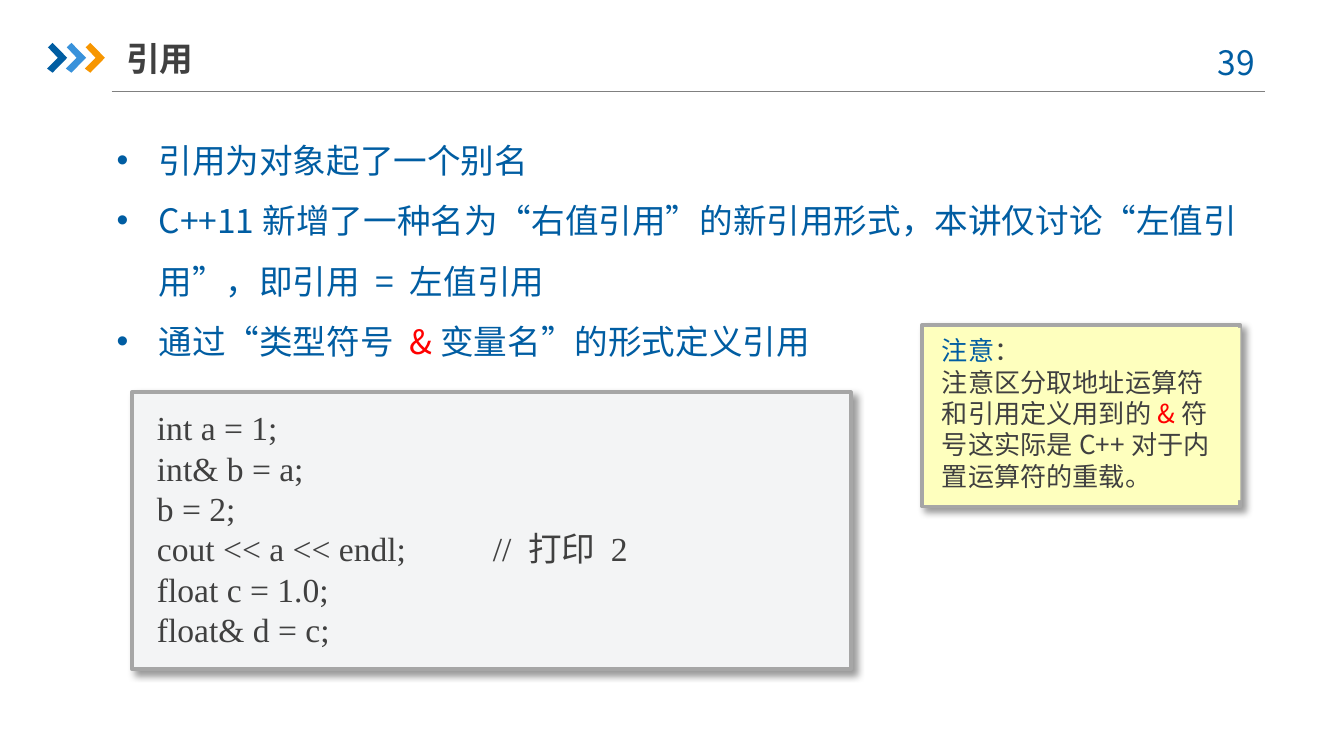
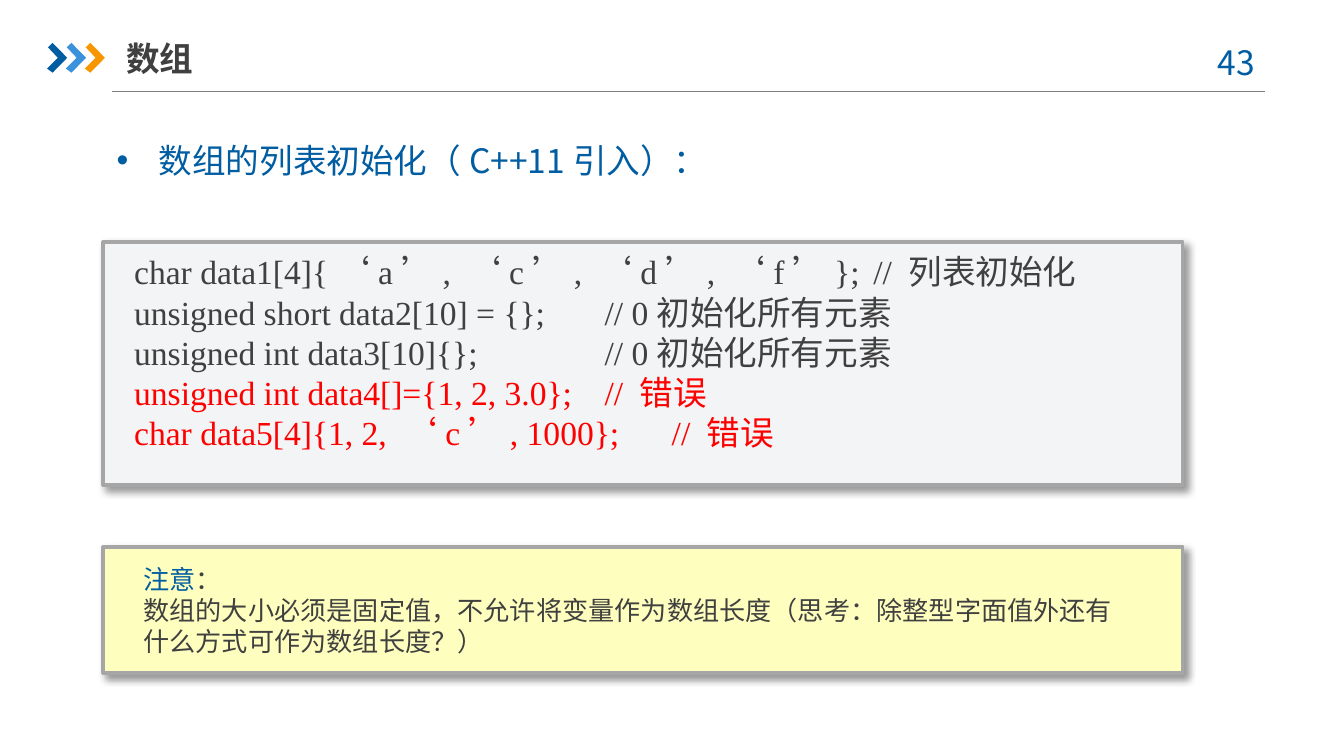
from lxml import etree
from pptx import Presentation
from pptx.dml.color import RGBColor
from pptx.enum import shapes, text
from pptx.oxml.ns import qn
from pptx.util import Pt

HUES = {
    "blue": "005DA2", "sky": "3992DB", "gold": "F79600", "red": "FF0000",
    "ink": "404040", "rule": "808080", "edge": "A6A6A6",
    "code": "F3F4F5", "note": "FEFFBE", "black": "000000",
}
SANS = "Noto Sans CJK SC"
SERIF = "Times New Roman"
CHEVRON = [(0.5, 25.4), (3, 23), (10.8, 31), (3, 39), (0, 36.8), (5.8, 31)]


def hue(name):
    return RGBColor.from_string(HUES[name])


def sub(parent, tag, **attrs):
    return etree.SubElement(parent, qn(tag), attrs)


class Deck:
    def __init__(self):
        self.show = Presentation()
        self.show.slide_width, self.show.slide_height = Pt(720), Pt(405)
        self.page = None

    def start(self, title, number):
        """Open a slide with its rule, chevrons, number and title."""
        self.page = self.show.slides.add_slide(self.show.slide_layouts[6])
        self.rule(59.8, 49, 677.5)
        self.group([self.arrow(25.2 + 10.1 * i, tint)
                    for i, tint in enumerate(("blue", "sky", "gold"))])
        self.label((638, 18.7, 52.6, 29), [[number]], center=True)
        self.label((67.7, 15.8, 200, 30.2), [[title]], tint="ink",
                   bold=True, inset=0, middle=True)

    def group(self, parts):
        self.page.shapes.add_group_shape(parts)

    def rule(self, left, top, right):
        line = self.page.shapes.add_connector(
            shapes.MSO_CONNECTOR.STRAIGHT, Pt(left), Pt(top), Pt(right), Pt(top))
        line.line.color.rgb = hue("rule")
        line.line.width = Pt(0.75)
        sub(line._element.spPr, "a:effectLst")

    def arrow(self, left, tint):
        spots = [(Pt(left + x), Pt(y)) for x, y in CHEVRON]
        pen = self.page.shapes.build_freeform(*spots[0])
        pen.add_line_segments(spots[1:], close=True)
        shape = pen.convert_to_shape()
        self.paint(shape, tint)
        return shape

    def paint(self, shape, tint):
        shape.shadow.inherit = False
        shape.fill.solid()
        shape.fill.fore_color.rgb = hue(tint)
        shape.line.fill.background()

    def rect(self, box, tint):
        shape = self.page.shapes.add_shape(
            shapes.MSO_SHAPE.RECTANGLE, *map(Pt, box))
        self.paint(shape, tint)
        return shape

    def shade(self, shape):
        glow = sub(shape._element.spPr.find(qn("a:effectLst")), "a:outerShdw",
                   blurRad=str(Pt(4)), dist=str(Pt(3)), dir="2700000",
                   algn="tl", rotWithShape="0")
        tone = sub(glow, "a:srgbClr", val=HUES["black"])
        sub(tone, "a:alpha", val="40000")

    def fill(self, shape, paras, tint="blue", size=18, face=SANS, bold=False,
             inset=7.2, middle=False, center=False, bullet=False):
        """Put text in a shape; a piece is a string or a (string, colour) pair."""
        frame = shape.text_frame
        frame.word_wrap = True
        frame.margin_left = frame.margin_right = Pt(inset)
        anchor = text.MSO_ANCHOR
        frame.vertical_anchor = anchor.MIDDLE if middle else anchor.TOP
        for i, pieces in enumerate(paras):
            para = frame.add_paragraph() if i else frame.paragraphs[0]
            para.alignment = text.PP_ALIGN.CENTER if center else text.PP_ALIGN.LEFT
            if bullet:
                self.dot(para)
            font = para.font
            font.size, font.bold, font.name = Pt(size), bold, face
            font.color.rgb = hue(tint)
            sub(para._p.pPr.find(qn("a:defRPr")), "a:ea", typeface=SANS)
            for piece in pieces:
                words, own = (piece, None) if isinstance(piece, str) else piece
                run = para.add_run()
                run.text = words
                if own:
                    run.font.color.rgb = hue(own)

    def dot(self, para):
        para.line_spacing = 1.5
        props = para._p.get_or_add_pPr()
        props.set("marL", str(Pt(22.5)))
        props.set("indent", str(Pt(-22.5)))
        sub(props, "a:buFont", typeface="Arial")
        sub(props, "a:buChar", char="•")

    def label(self, box, paras, **style):
        self.fill(self.page.shapes.add_textbox(*map(Pt, box)), paras, **style)

    def points(self, box, paras):
        self.label(box, paras, bullet=True)

    def panel(self, outer, inner, tint, paras, **style):
        """Draw a framed, shaded card with its text area on top."""
        card = self.rect(outer, tint)
        card.line.color.rgb = hue("edge")
        card.line.width = Pt(2)
        self.shade(card)
        area = self.rect(inner, tint)
        self.fill(area, paras, tint="ink", **style)
        self.group([card, area])

    def code(self, outer, inner, lines):
        self.panel(outer, inner, "code", lines, face=SERIF)

    def note(self, outer, inner, pieces):
        head = [("注意", "blue"), "："]
        self.panel(outer, inner, "note", [head, pieces], size=14)


def main():
    deck = Deck()

    deck.start("引用", "39 ")
    deck.points((55.4, 60.5, 616.3, 134.6), [
        ["引用为对象起了一个别名"],
        ["C++11新增了一种名为“右值引用”的新引用形式，本讲仅讨论“左值引用”，即引用 = 左值引用"],
        ["通过“类型符号 ", ("&", "red"), "变量名”的形式定义引用"],
    ])
    deck.code((70.6, 210.2, 385.2, 148.3), (77, 214.6, 373.7, 138.2), [
        ["int a = 1;"],
        ["int& b = a;"],
        ["b = 2;"],
        ["cout << a << endl;\t\t// 打印 2"],
        ["float c = 1.0;"],
        ["float& d = c;"],
    ])
    deck.note((493.9, 174.2, 170.6, 97.2), (497.5, 175.7, 167, 92.2), [
        "注意区分取地址运算符和引用定义用到的", ("&", "red"),
        "符号这实际是C++对于内置运算符的重载。",
    ])

    deck.start("数组", "43 ")
    deck.points((55.4, 60.5, 622, 36), [["数组的列表初始化（C++11引入）："]])
    deck.code((55.4, 129.6, 578.2, 130.3), (64.8, 131, 558.7, 116.6), [
        ["char data1[4]{‘a’, ‘c’, ‘d’, ‘f’};\t// 列表初始化"],
        ["unsigned short data2[10] = {};\t// 0初始化所有元素"],
        ["unsigned int data3[10]{};\t\t// 0初始化所有元素"],
        [("unsigned int data4[]={1, 2, 3.0};\t// 错误", "red")],
        [("char data5[4]{1, 2, ‘c’, 1000};\t// 错误", "red")],
    ])
    deck.note((55.4, 293, 578.2, 67.7), (69.8, 298, 540, 58.3), [
        "数组的大小必须是固定值，不允许将变量作为数组长度（思考：除整型字面值外还有什么方式可作为数组长度？）",
    ])

    deck.show.save("out.pptx")


if __name__ == "__main__":
    main()
